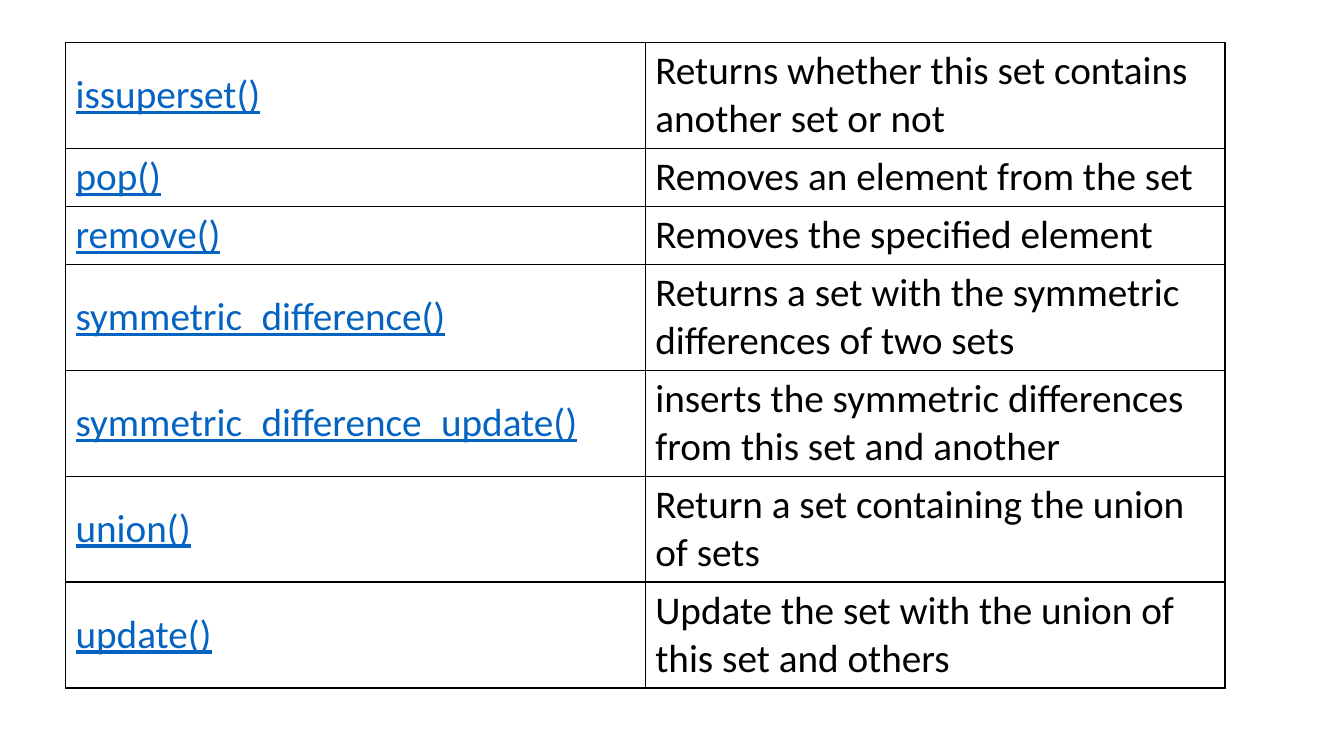
from lxml.etree import SubElement
from pptx import Presentation
from pptx.dml.color import RGBColor
from pptx.enum.text import MSO_ANCHOR
from pptx.oxml.ns import qn
from pptx.util import Inches, Pt

BLACK = "000000"
LINK_BLUE = "0563C1"
ONE_LINE, TWO_LINES = 0.57, 1.05
SET_METHODS = [
    ("issuperset()", "Returns whether this set contains another set or not", TWO_LINES),
    ("pop()", "Removes an element from the set", ONE_LINE),
    ("remove()", "Removes the specified element", ONE_LINE),
    ("symmetric_difference()", "Returns a set with the symmetric differences of two sets", TWO_LINES),
    ("symmetric_difference_update()", "inserts the symmetric differences from this set and another", TWO_LINES),
    ("union()", "Return a set containing the union of sets", TWO_LINES),
    ("update()", "Update the set with the union of this set and others", TWO_LINES),
]


def color(hex_code):
    """Turn a hex string into a colour."""
    return RGBColor.from_string(hex_code)


def add_borders(cell, hex_code, width):
    """Draw a solid line on all four sides of a cell."""
    properties = cell._tc.get_or_add_tcPr()
    for side in ("a:lnL", "a:lnR", "a:lnT", "a:lnB"):
        border = SubElement(properties, qn(side), w=str(Pt(width)))
        fill = SubElement(border, qn("a:solidFill"))
        SubElement(fill, qn("a:srgbClr"), val=hex_code)


def write_cell(cell, wording, hex_code, underline):
    """Fill one bordered cell with vertically centred text."""
    add_borders(cell, BLACK, 1)
    cell.fill.background()
    cell.vertical_anchor = MSO_ANCHOR.MIDDLE
    cell.text = wording
    font = cell.text_frame.paragraphs[0].font
    font.name = "Calibri"
    font.size = Pt(28)
    font.color.rgb = color(hex_code)
    font.underline = underline


def add_method_table(slide, left, top, width):
    """Place the table of set methods and their descriptions."""
    height = sum(row_height for _, _, row_height in SET_METHODS)
    methods = slide.shapes.add_table(
        len(SET_METHODS), 2, Inches(left), Inches(top), Inches(width), Inches(height)
    ).table
    methods.first_row = False
    methods.horz_banding = False
    for index, (method, description, row_height) in enumerate(SET_METHODS):
        methods.rows[index].height = Inches(row_height)
        write_cell(methods.cell(index, 0), method, LINK_BLUE, True)
        write_cell(methods.cell(index, 1), description, BLACK, False)


def main():
    """Build and save the presentation."""
    presentation = Presentation()
    presentation.slide_width = Inches(13.33)
    presentation.slide_height = Inches(7.5)
    slide = presentation.slides.add_slide(presentation.slide_layouts[6])
    add_method_table(slide, 0.65, 0.42, 11.5)
    presentation.save("out.pptx")


if __name__ == "__main__":
    main()
